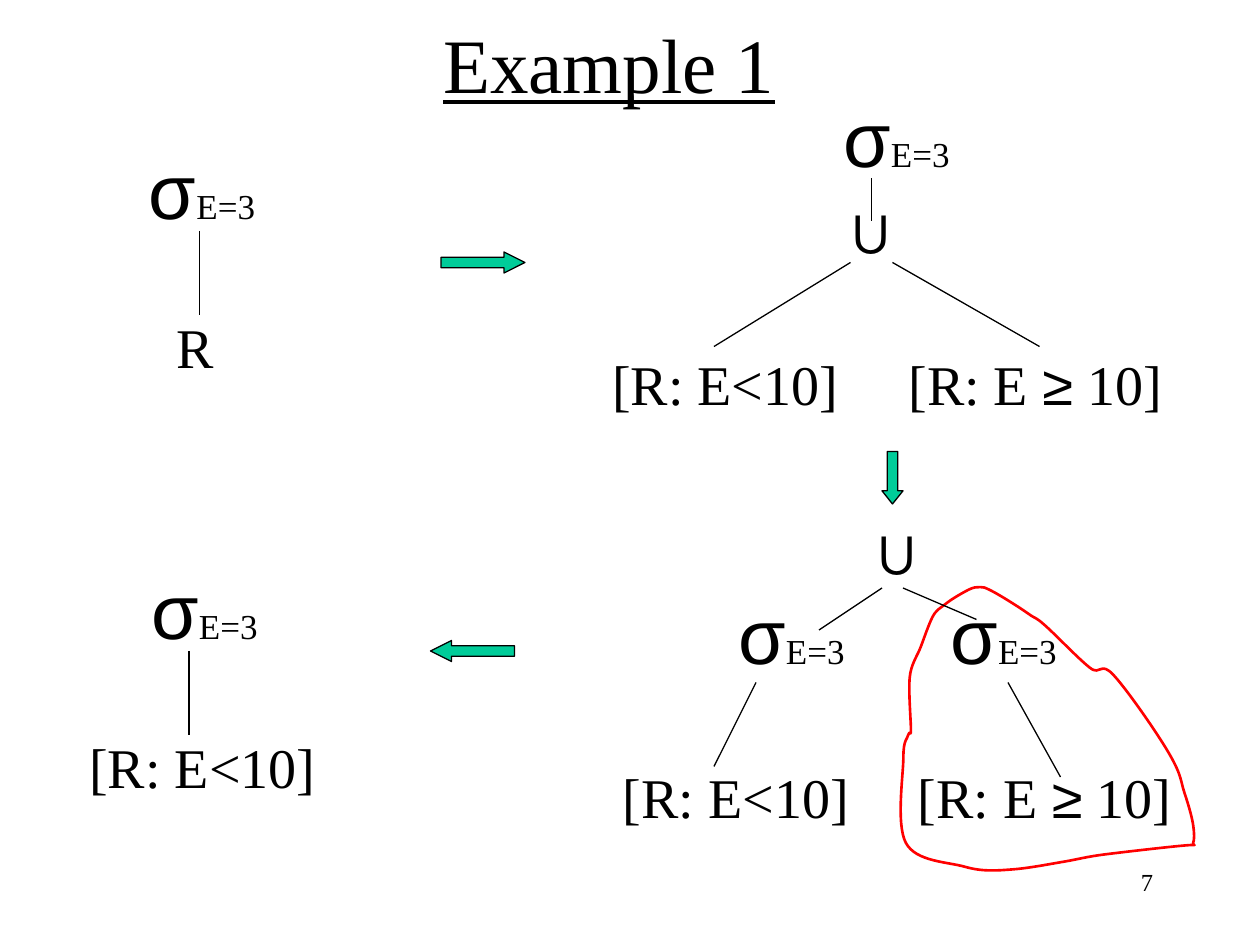
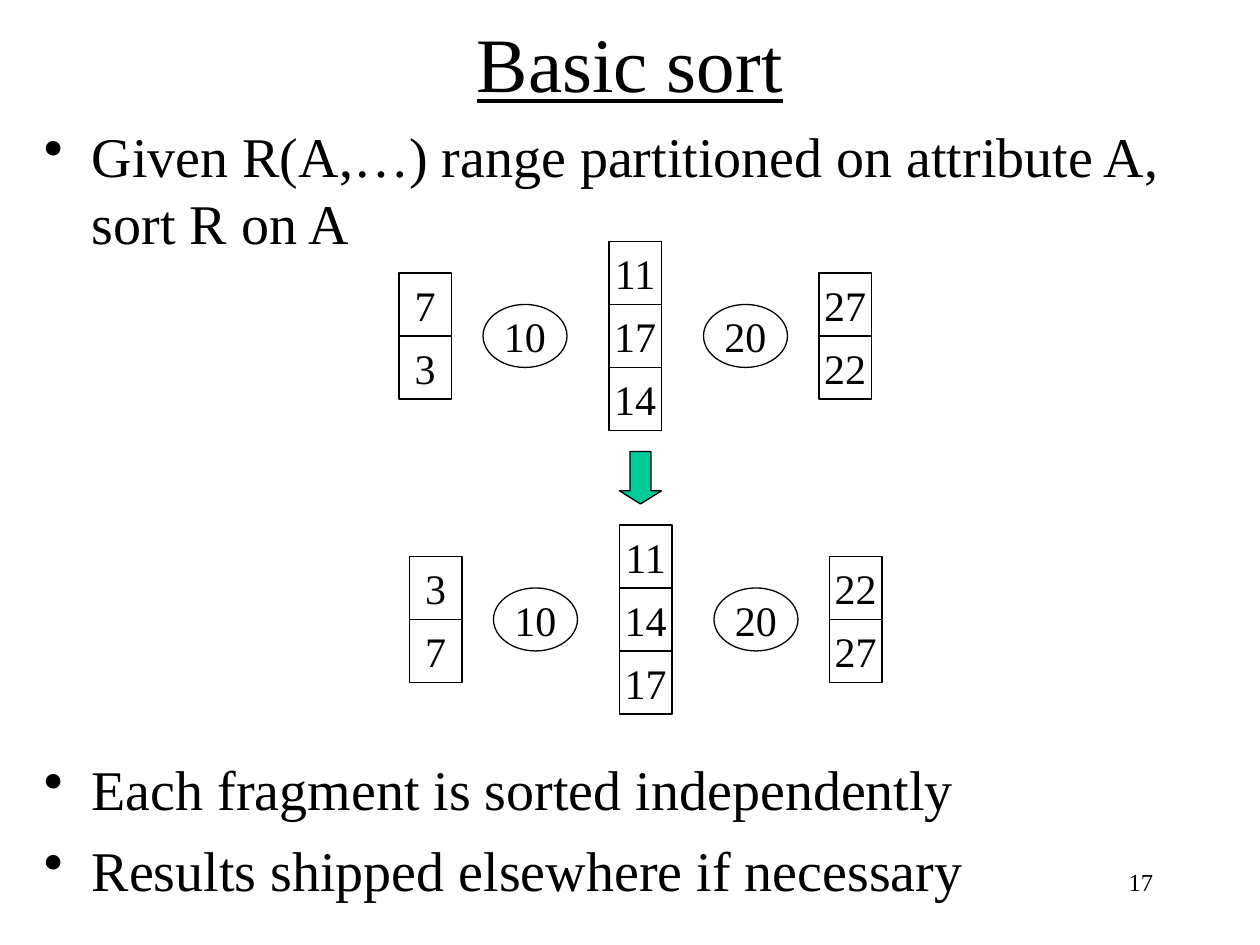
"""Build two slides on parallel queries: a selection rewrite and a basic sort."""
from lxml import etree
from pptx import Presentation
from pptx.dml.color import RGBColor
from pptx.enum.shapes import MSO_CONNECTOR, MSO_SHAPE
from pptx.enum.text import MSO_ANCHOR, PP_ALIGN
from pptx.oxml.ns import qn
from pptx.util import Inches, Pt

BLACK = RGBColor(0x00, 0x00, 0x00)
WHITE = RGBColor(0xFF, 0xFF, 0xFF)
GREEN = RGBColor(0x00, 0xCC, 0x99)
RED = RGBColor(0xFF, 0x00, 0x00)
SERIF, SANS = "Times New Roman", "Arial"
LEFT, MID, RIGHT = PP_ALIGN.LEFT, PP_ALIGN.CENTER, PP_ALIGN.RIGHT
TOP, CENTRE = MSO_ANCHOR.TOP, MSO_ANCHOR.MIDDLE
RECT, OVAL = MSO_SHAPE.RECTANGLE, MSO_SHAPE.OVAL
EAST, WEST, DOWN = MSO_SHAPE.RIGHT_ARROW, MSO_SHAPE.LEFT_ARROW, MSO_SHAPE.DOWN_ARROW
LINE = MSO_CONNECTOR.STRAIGHT
GRID = 12
PAD = 0.1

SIGMA = [("σ", SANS, 44), ("E=3", SERIF, 20)]
UNION = [("∪", SANS, 36)]
REL = [("R", SERIF, 32)]
LOW = [("[R: E<10]", SERIF, 32)]
HIGH = [("[R: E ", SERIF, 32), ("≥", SANS, 32), (" 10]", SERIF, 32)]

TREES = [
    ((13, 14, 13, 26), [0, 48], [[(SIGMA, 19.2)], [(REL, 18.6)]]),
    ((53, 9, 63, 33), [0, 9, 51],
     [[(SIGMA, 85.4)], [(UNION, 83)], [(LOW, 69.1), (HIGH, 98.6)]]),
    ((54, 49, 63, 33), [0, 5, 51],
     [[(UNION, 85.5)], [(SIGMA, 75.4), (SIGMA, 95.6)], [(LOW, 70.1), (HIGH, 99.5)]]),
    ((6, 54, 27, 24), [0, 48], [[(SIGMA, 19.5)], [(LOW, 19.3)]]),
]
EDGES = [
    (19, 22, 19, 30),
    (83, 17, 83, 21), (81, 25, 68, 33), (85, 25, 99, 33),
    (84, 56, 78, 60), (86, 56, 93, 59), (72, 65, 68, 73), (96, 65, 101, 74),
    (18, 62, 18, 70),
]
STEPS = [(EAST, (42, 24, 8, 2), 2), (DOWN, (84, 43, 2, 5), 1.25), (WEST, (41, 61, 8, 2), 2)]
LOOP = [
    (769, 468), (751, 479), (740, 490), (731, 513), (722, 538), (723, 579),
    (721, 583), (717, 601), (719, 669), (766, 688), (804, 690), (844, 684),
    (878, 678), (941, 671), (947, 669), (947, 655), (940, 629), (929, 600),
    (884, 536), (865, 530), (829, 496), (816, 487), (787, 469), (778, 466),
]

POINTS = [
    "Given R(A,…) range partitioned on attribute A, sort R on A",
    "Each fragment is sorted independently",
    "Results shipped elsewhere if necessary",
]
PARTS = [(7, 3), (11, 17, 14), (27, 22)]
CUTS = [10, 20]
PART_COLS, CUT_COLS = (0, 20, 40), (8, 29)
CELL, CUT = (5, 6), (8, 6)


def cells(*nums):
    """Turn grid units into lengths."""
    return [Inches(n / GRID) for n in nums]


def write(frame, paras, font=SERIF, size=32, align=LEFT, anchor=TOP, pad=PAD,
          wrap=True, line=None, gaps=None, bullet=False, under=None, stops=None):
    """Fill a text frame; each paragraph is a string or a list of runs."""
    frame.word_wrap = wrap
    frame.vertical_anchor = anchor
    frame.margin_left = frame.margin_right = Inches(pad)
    frame.margin_top = frame.margin_bottom = Inches(pad / 2)
    for i, para in enumerate(paras):
        p = frame.add_paragraph() if i else frame.paragraphs[0]
        p.alignment = align
        props = p._p.get_or_add_pPr()
        if line:
            p.line_spacing = line
        if gaps and gaps[i]:
            p.space_before = Pt(gaps[i])
        if bullet:
            props.set("marL", str(Inches(0.38)))
            props.set("indent", str(-Inches(0.38)))
            etree.SubElement(props, qn("a:buChar")).set("char", "•")
        if stops:
            tabs = etree.SubElement(props, qn("a:tabLst"))
            for stop in stops[i]:
                etree.SubElement(tabs, qn("a:tab"), pos=str(stop), algn="ctr")
        for text, face, pts in [(para, font, size)] if isinstance(para, str) else para:
            run = p.add_run()
            run.text = text
            run.font.name, run.font.size = face, Pt(pts)
            run.font.color.rgb = BLACK
            run.font.underline = under


def label(slide, box, paras, **look):
    """Add a text box on the grid."""
    write(slide.shapes.add_textbox(*cells(*box)).text_frame, paras, **look)


def tree(slide, box, gaps, rows):
    """Write one query tree, each node centred on its own tab stop."""
    paras, stops = [], []
    for row in rows:
        runs = []
        for node, _ in row:
            (text, face, pts), *rest = node
            runs += [("\t" + text, face, pts), *rest]
        paras.append(runs)
        stops.append([Inches((x - box[0]) / GRID - PAD) for _, x in row])
    label(slide, box, paras, line=0.9, gaps=gaps, stops=stops)


def block(slide, kind, box, fill=WHITE, text=None):
    """Add an outlined preset shape on the grid."""
    shape = slide.shapes.add_shape(kind, *cells(*box))
    shape.shadow.inherit = False
    shape.fill.solid()
    shape.fill.fore_color.rgb = fill
    shape.line.color.rgb, shape.line.width = BLACK, Pt(0.75)
    if text:
        write(shape.text_frame, [text], size=24, align=MID, anchor=CENTRE, wrap=False)
    return shape


def arrow(slide, kind, box, head):
    """Add a green block arrow with a given head length."""
    shape = block(slide, kind, box, GREEN)
    shape.adjustments[0] = 0.5
    shape.adjustments[1] = head / min(box[2:])


def edge(slide, ends):
    """Join two grid points with a thin line."""
    link = slide.shapes.add_connector(LINE, *cells(*ends))
    link.line.color.rgb, link.line.width = BLACK, Pt(0.75)
    etree.SubElement(link._element.spPr, qn("a:effectLst"))


def bend(shape, knots):
    """Turn the straight sides of a closed outline into smooth curves."""
    count = len(knots)
    left, top = (min(axis) for axis in zip(*knots))
    for i, side in enumerate(list(shape._element.iter(qn("a:lnTo")))):
        a, b, c, d = (knots[(i + k) % count] for k in (-1, 0, 1, 2))
        side.tag = qn("a:cubicBezTo")
        ends = [
            [b[k] + (c[k] - a[k]) / 6 for k in (0, 1)],
            [c[k] - (d[k] - b[k]) / 6 for k in (0, 1)],
        ]
        for n, (x, y) in enumerate(ends):
            knob = etree.Element(qn("a:pt"), x=str(round(x - left)), y=str(round(y - top)))
            side.insert(n, knob)


def ring(slide, knots):
    """Draw the red outline by hand."""
    pen = slide.shapes.build_freeform(*knots[0], scale=Inches(1) / 100)
    pen.add_line_segments(knots[1:] + knots[:1], close=True)
    shape = pen.convert_to_shape()
    bend(shape, knots)
    shape.shadow.inherit = False
    shape.fill.background()
    shape.line.color.rgb, shape.line.width = RED, Pt(1.5)


def start(deck, title, left, high, page):
    """Add a slide with its title and page number."""
    slide = deck.slides.add_slide(deck.slide_layouts[5])
    head = slide.shapes.title
    head.left, head.top, head.width, head.height = cells(left, 2, 102, high)
    write(head.text_frame, [title], size=44, align=MID, anchor=CENTRE, under=True)
    label(slide, (86, 82, 25, 6), [page], size=14, align=RIGHT)
    return slide


def sort_row(slide, left, mid, parts):
    """Draw the fragments around a middle line, with the cuts between them."""
    wide, high = CELL
    for col, part in zip(PART_COLS, parts):
        top = mid - len(part) * high / 2
        for i, num in enumerate(part):
            block(slide, RECT, (left + col, top + i * high, wide, high), text=str(num))
    for col, num in zip(CUT_COLS, CUTS):
        block(slide, OVAL, (left + col, mid - CUT[1] / 2, *CUT), text=str(num))


def main():
    """Build and save the deck."""
    deck = Presentation()
    deck.slide_width, deck.slide_height = Inches(10), Inches(7.5)

    slide = start(deck, "Example 1", 7, 8, "7")
    ring(slide, LOOP)
    for part in TREES:
        tree(slide, *part)
    for ends in EDGES:
        edge(slide, ends)
    for step in STEPS:
        arrow(slide, *step)

    slide = start(deck, "Basic sort", 9, 7.8, "17")
    label(slide, (3, 11, 111, 76), POINTS, gaps=[0, 285, 7.5], bullet=True)
    sort_row(slide, 38, 32, PARTS)
    sort_row(slide, 39, 59, [sorted(part) for part in PARTS])
    arrow(slide, DOWN, (59, 43, 4, 5), 1.25)

    deck.save("out.pptx")


if __name__ == "__main__":
    main()
